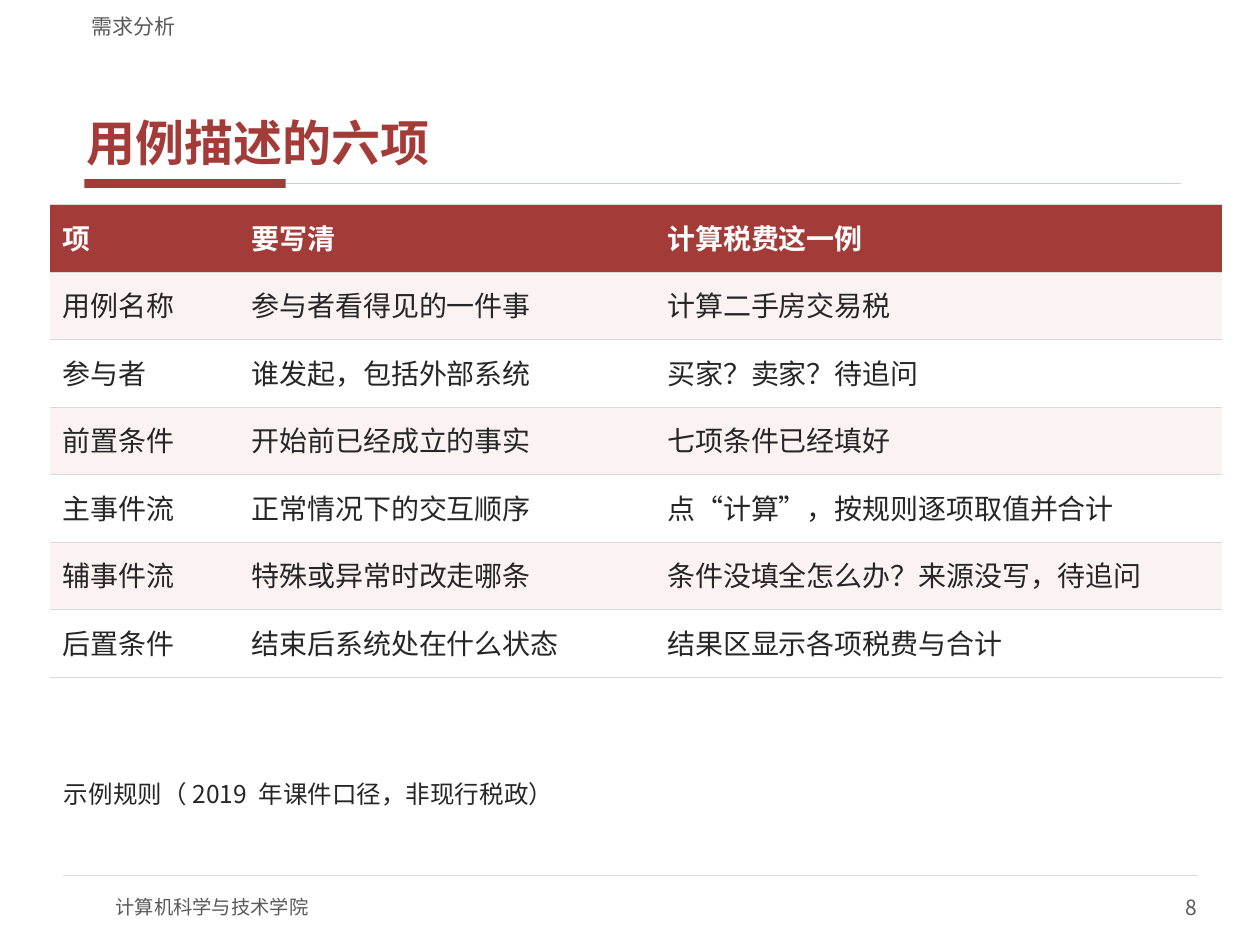
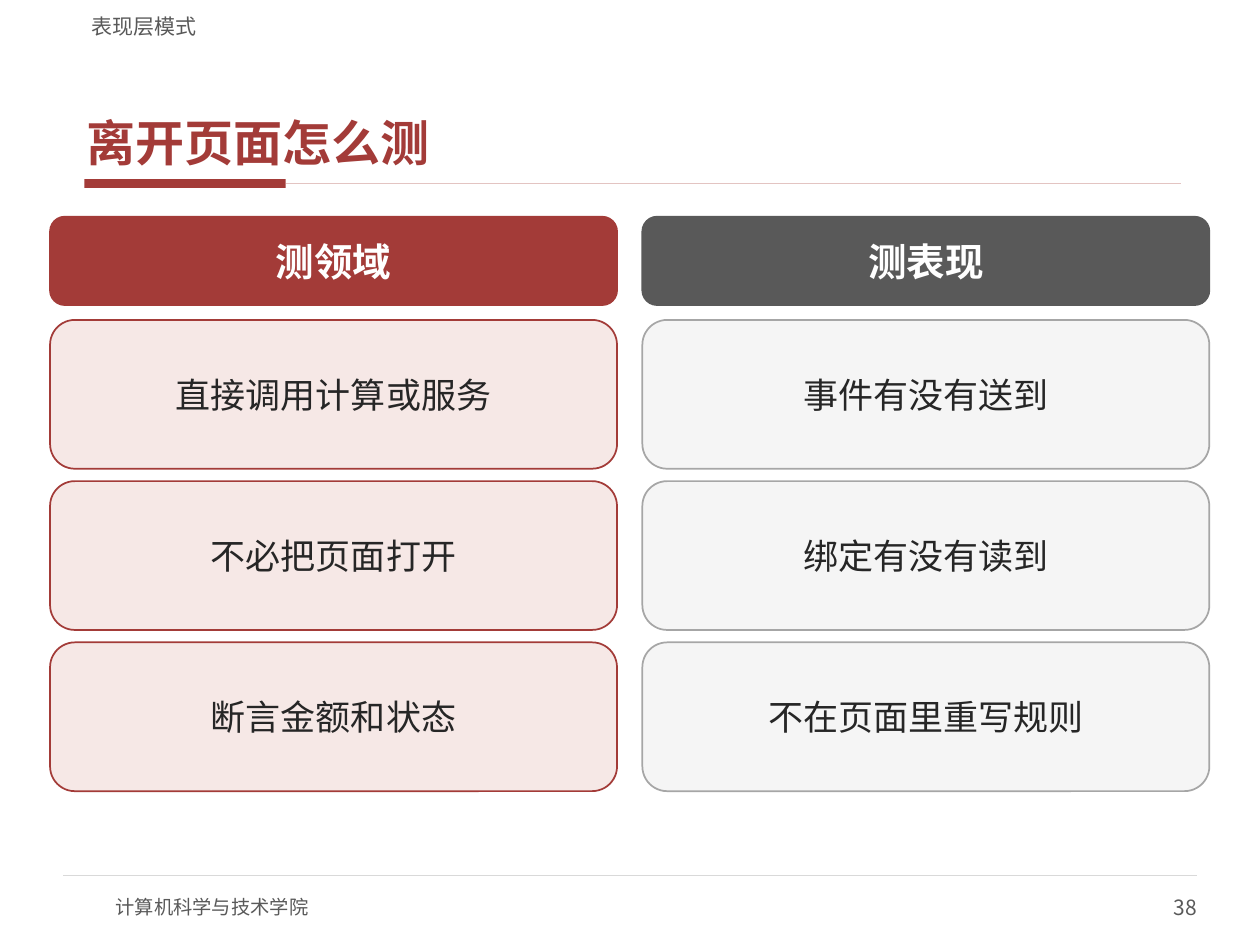
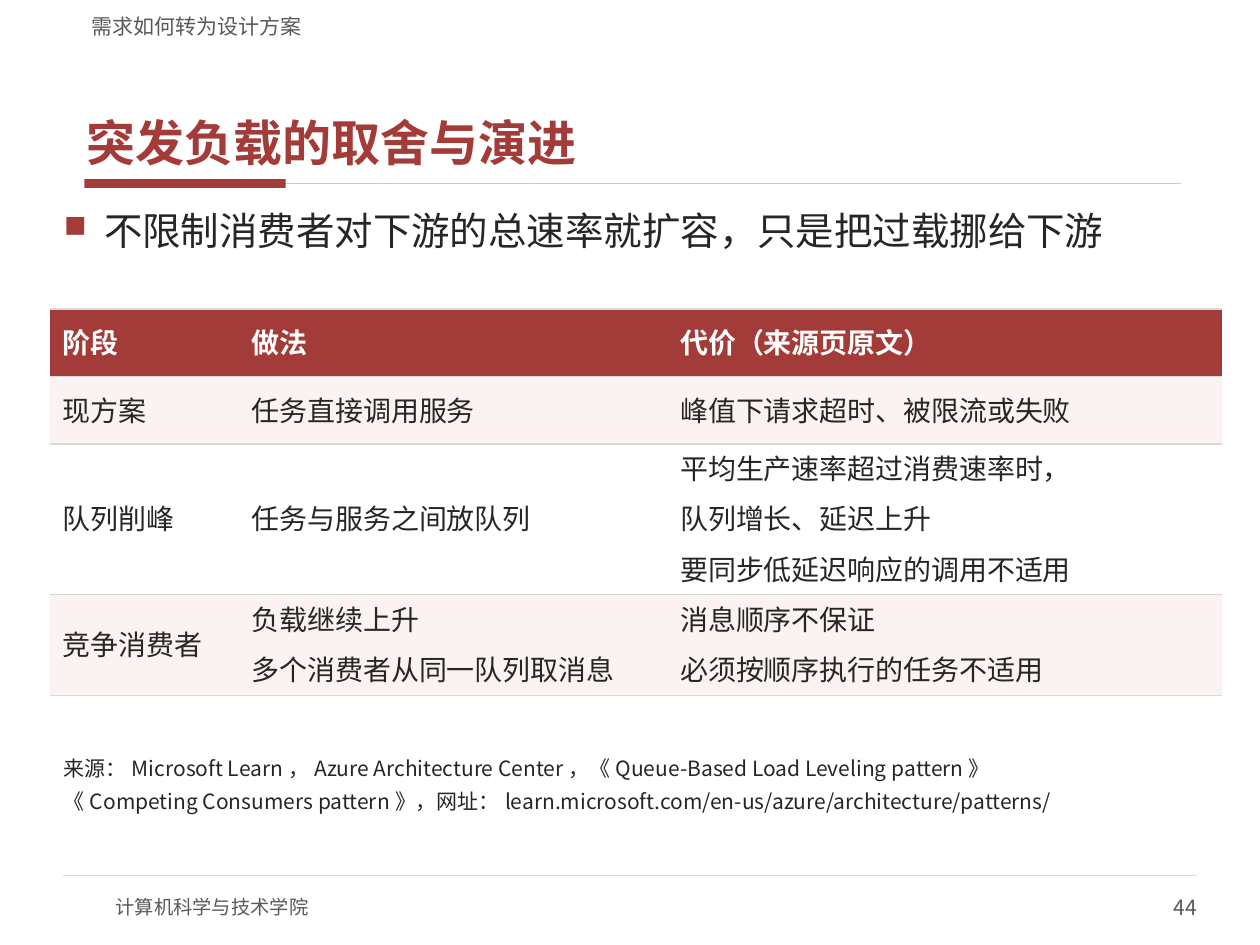
from dataclasses import dataclass

from lxml import etree
from pptx import Presentation
from pptx import util as u
from pptx.dml.color import RGBColor
from pptx.enum import shapes, text
from pptx.oxml.ns import qn


@dataclass(frozen=True)
class Theme:
    font: str = "Noto Sans CJK SC"
    red: str = "A33B38"
    pale_red: str = "F6E8E6"
    band: str = "FBF3F2"
    title_rule: str = "E3C4C2"
    ink: str = "262626"
    grey: str = "595959"
    mid_grey: str = "A6A6A6"
    pale_grey: str = "F5F5F5"
    hairline: str = "D9D9D9"
    white: str = "FFFFFF"
    title_size: int = 28
    lead_size: int = 22
    card_size: int = 20
    table_size: int = 16
    note_size: int = 14
    small_size: int = 12
    school_size: int = 11


THEME = Theme()
SCHOOL = "计算机科学与技术学院"

USE_CASE = {
    "chapter": "需求分析",
    "title": "用例描述的六项",
    "number": 8,
    "rows": [
        ("项", "要写清", "计算税费这一例"),
        ("用例名称", "参与者看得见的一件事", "计算二手房交易税"),
        ("参与者", "谁发起，包括外部系统", "买家？卖家？待追问"),
        ("前置条件", "开始前已经成立的事实", "七项条件已经填好"),
        ("主事件流", "正常情况下的交互顺序", "点“计算”，按规则逐项取值并合计"),
        ("辅事件流", "特殊或异常时改走哪条", "条件没填全怎么办？来源没写，待追问"),
        ("后置条件", "结束后系统处在什么状态", "结果区显示各项税费与合计"),
    ],
    "note": ["示例规则（2019 年课件口径，非现行税政）"],
}

TESTING = {
    "chapter": "表现层模式",
    "title": "离开页面怎么测",
    "number": 38,
    "columns": [
        ("测领域", ["直接调用计算或服务", "不必把页面打开", "断言金额和状态"]),
        ("测表现", ["事件有没有送到", "绑定有没有读到", "不在页面里重写规则"]),
    ],
}

BURST_LOAD = {
    "chapter": "需求如何转为设计方案",
    "title": "突发负载的取舍与演进",
    "number": 44,
    "lead": "不限制消费者对下游的总速率就扩容，只是把过载挪给下游",
    "rows": [
        ("阶段", "做法", "代价（来源页原文）"),
        ("现方案", "任务直接调用服务", "峰值下请求超时、被限流或失败"),
        ("队列削峰", "任务与服务之间放队列",
         "平均生产速率超过消费速率时，\n队列增长、延迟上升\n要同步低延迟响应的调用不适用"),
        ("竞争消费者", "负载继续上升\n多个消费者从同一队列取消息",
         "消息顺序不保证\n必须按顺序执行的任务不适用"),
    ],
    "note": [
        "来源：Microsoft Learn，Azure Architecture Center，"
        "《Queue-Based Load Leveling pattern》",
        "《Competing Consumers pattern》，"
        "网址：learn.microsoft.com/en-us/azure/architecture/patterns/",
    ],
}


def cm(*lengths):
    return [u.Cm(length) for length in lengths]


def set_all(target, values):
    for name, value in values.items():
        setattr(target, name, value)


def paint(fill, color):
    fill.solid()
    fill.fore_color.rgb = RGBColor.from_string(color)


def write(frame, lines, size, color, bold=False, before=0, **paragraph_format):
    """Fill a text frame; space before applies from the second line on."""
    for index, line in enumerate(lines):
        para = frame.paragraphs[0] if index == 0 else frame.add_paragraph()
        set_all(para, paragraph_format)
        para.space_before = u.Pt(before if index else 0)
        span = para.add_run()
        span.text = line
        set_all(span.font, {"name": THEME.font, "size": u.Pt(size), "bold": bold})
        span.font.color.rgb = RGBColor.from_string(color)
        east_asian = etree.Element(qn("a:ea"), typeface=THEME.font)
        span.font._element.find(qn("a:latin")).addnext(east_asian)


def set_frame(frame, inset, anchor):
    side, end = cm(*inset)
    set_all(frame, {"word_wrap": True, "vertical_anchor": anchor,
                    "margin_left": side, "margin_right": side,
                    "margin_top": end, "margin_bottom": end})


def add_text(page, place, lines, size, color, inset=(0.15, 0.05),
             anchor=text.MSO_ANCHOR.TOP, **style):
    box = page.shapes.add_textbox(*cm(*place))
    set_frame(box.text_frame, inset, anchor)
    write(box.text_frame, lines, size, color, **style)
    return box


def add_block(page, kind, place, fill, line=None):
    block = page.shapes.add_shape(kind, *cm(*place))
    block.shadow.inherit = False
    paint(block.fill, fill)
    if line:
        paint(block.line.fill, line)
        block.line.width = u.Pt(1)
    else:
        block.line.fill.background()
    return block


def add_rule(page, left, right, top, color, width):
    rule = page.shapes.add_connector(shapes.MSO_CONNECTOR.STRAIGHT,
                                     *cm(left, top, right, top))
    paint(rule.line.fill, color)
    rule.line.width = u.Pt(width)
    etree.SubElement(rule._element.spPr, qn("a:effectLst"))


def add_page(deck, content):
    """Add a slide with the chapter, title, rules and footer all slides share."""
    page = deck.slides.add_slide(deck.slide_layouts[6])
    middle, bottom = text.MSO_ANCHOR.MIDDLE, text.MSO_ANCHOR.BOTTOM
    add_block(page, shapes.MSO_SHAPE.RECTANGLE, (1.7, 3.61, 4.06, 0.18), THEME.red)
    add_rule(page, 5.77, 23.8, 3.7, THEME.title_rule, 1)
    add_rule(page, 1.27, 24.13, 17.65, THEME.hairline, 0.75)
    add_text(page, (2.33, 17.78, 10.16, 1.02), [SCHOOL], THEME.school_size,
             THEME.grey, inset=(0, 0), anchor=middle)
    add_text(page, (19.05, 17.78, 5.08, 1.02), [str(content["number"])],
             THEME.small_size, THEME.grey, inset=(0, 0), anchor=middle,
             alignment=text.PP_ALIGN.RIGHT)
    add_text(page, (1.6, 0.84, 22.23, 2.67), [content["title"]], THEME.title_size,
             THEME.red, bold=True, anchor=bottom, space_after=u.Pt(2))
    add_text(page, (1.6, 0.1, 22.23, 0.69), [content["chapter"]], THEME.small_size,
             THEME.grey, inset=(0.25, 0), anchor=bottom)
    return page


def set_borders(cell):
    """Hairlines above and below, nothing at the sides."""
    properties = cell._tc.get_or_add_tcPr()
    for side in "LRTB":
        border = etree.SubElement(properties, qn(f"a:ln{side}"))
        if side in "LR":
            border.set("w", "0")
            etree.SubElement(border, qn("a:noFill"))
        else:
            border.set("w", str(u.Pt(0.75)))
            solid = etree.SubElement(border, qn("a:solidFill"))
            etree.SubElement(solid, qn("a:srgbClr"), val=THEME.hairline)


def add_grid(page, top, rows, widths, heights):
    grid = page.shapes.add_table(
        len(rows), len(widths), *cm(1.01, top, sum(widths), sum(heights))).table
    set_all(grid, {"first_row": True, "horz_banding": False})
    for column, width in zip(grid.columns, widths):
        column.width = u.Cm(width)
    for index, (row, height, entries) in enumerate(zip(grid.rows, heights, rows)):
        row.height = u.Cm(height)
        header = index == 0
        fill = THEME.red if header else THEME.band if index % 2 else THEME.white
        for cell, entry in zip(row.cells, entries):
            set_borders(cell)
            paint(cell.fill, fill)
            cell.vertical_anchor = text.MSO_ANCHOR.MIDDLE
            write(cell.text_frame, entry.split("\n"), THEME.table_size,
                  THEME.white if header else THEME.ink, bold=header,
                  before=6, space_after=u.Pt(2), line_spacing=0.9)


def add_note(page, top, height, lines, size):
    add_text(page, (1.14, top, 23.11, height), lines, size, THEME.ink,
             before=2, space_after=u.Pt(2))


def add_lead(page, line):
    """Add the bulleted statement under the title."""
    box = add_text(page, (1.14, 4.12, 23.11, 1.4), [line], THEME.lead_size,
                   THEME.ink, space_after=u.Pt(2))
    properties = box.text_frame.paragraphs[0]._p.get_or_add_pPr()
    indent = u.Cm(0.81)
    properties.set("marL", str(indent))
    properties.set("indent", str(-indent))
    color = etree.SubElement(properties, qn("a:buClr"))
    etree.SubElement(color, qn("a:srgbClr"), val=THEME.red)
    etree.SubElement(properties, qn("a:buSzPct"), val="80000")
    etree.SubElement(properties, qn("a:buChar"), char="■")


def add_card(page, place, label, fill, line, size, color, bold=False):
    card = add_block(page, shapes.MSO_SHAPE.ROUNDED_RECTANGLE, place, fill, line)
    set_frame(card.text_frame, (0.2, 0.1), text.MSO_ANCHOR.MIDDLE)
    write(card.text_frame, [label], size, color, bold=bold,
          alignment=text.PP_ALIGN.CENTER)


def add_columns(page, columns):
    width, gap, card_height, card_gap = 11.43, 0.51, 3, 0.25
    palettes = [(THEME.red, THEME.pale_red, THEME.red),
                (THEME.grey, THEME.pale_grey, THEME.mid_grey)]
    for index, ((heading, labels), palette) in enumerate(zip(columns, palettes)):
        strong, pale, outline = palette
        left = 1.01 + index * (width + gap)
        add_card(page, (left, 4.37, width, 1.78), heading, strong, strong,
                 THEME.lead_size, THEME.white, bold=True)
        for order, label in enumerate(labels):
            top = 6.45 + order * (card_height + card_gap)
            add_card(page, (left, top, width, card_height), label, pale, outline,
                     THEME.card_size, THEME.ink)


def main():
    deck = Presentation()
    deck.slide_width, deck.slide_height = cm(25.4, 19.05)

    page = add_page(deck, USE_CASE)
    rows = USE_CASE["rows"]
    add_grid(page, 4.13, rows, (3.81, 8.38, 11.43), [1.36] * len(rows))
    add_note(page, 15.65, 0.76, USE_CASE["note"], THEME.note_size)

    page = add_page(deck, TESTING)
    add_columns(page, TESTING["columns"])

    page = add_page(deck, BURST_LOAD)
    add_lead(page, BURST_LOAD["lead"])
    add_grid(page, 6.23, BURST_LOAD["rows"], (3.81, 8.64, 11.18),
             (1.36, 1.36, 3.03, 2.04))
    add_note(page, 15.19, 1.27, BURST_LOAD["note"], THEME.small_size)

    deck.save("out.pptx")


if __name__ == "__main__":
    main()
